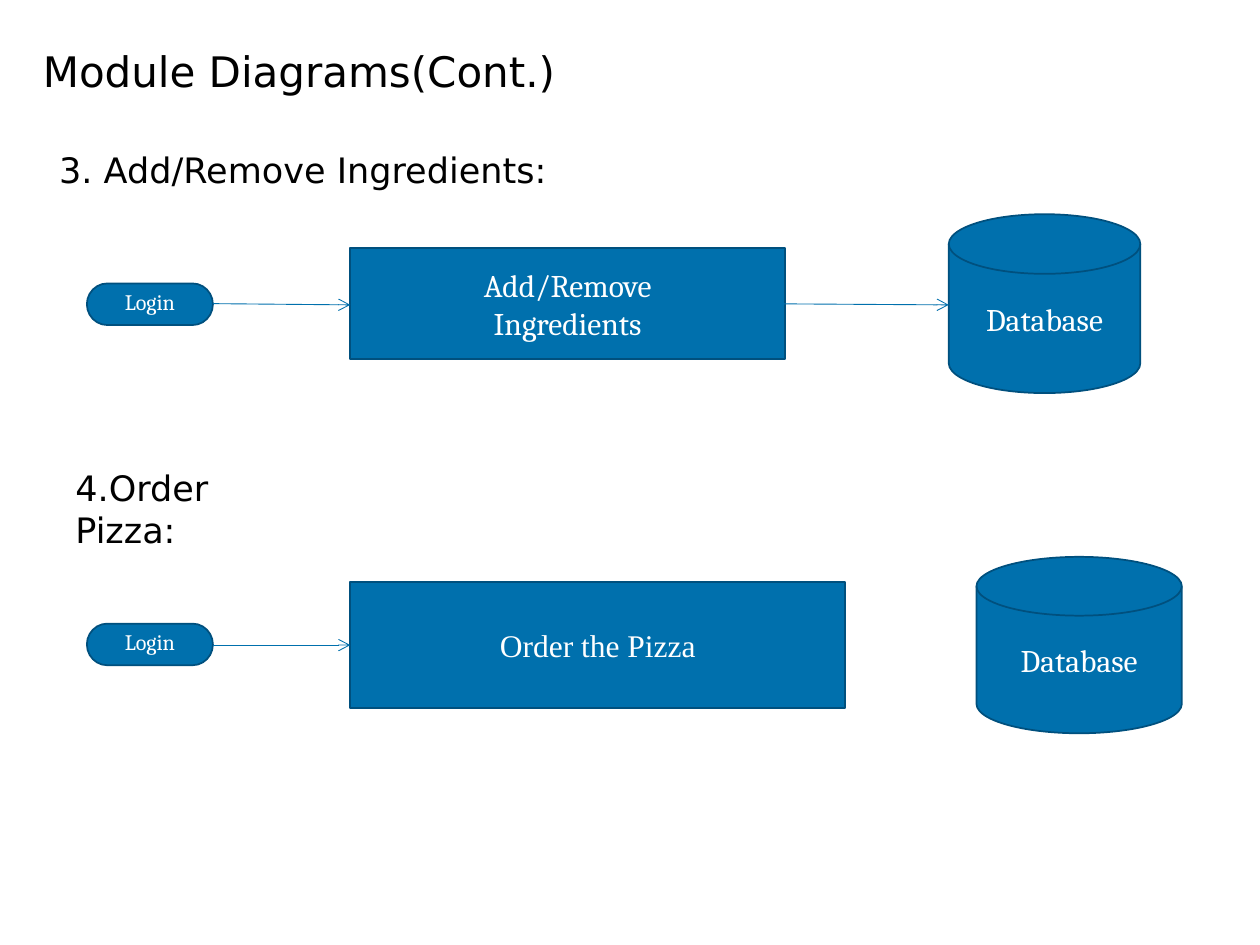
from dataclasses import dataclass

from lxml.etree import SubElement
from pptx import Presentation
from pptx.dml.color import RGBColor
from pptx.enum.shapes import MSO_CONNECTOR, MSO_SHAPE
from pptx.enum.text import MSO_ANCHOR, PP_ALIGN
from pptx.oxml.ns import qn
from pptx.slide import Slide
from pptx.util import Inches, Pt

BLUE = RGBColor(0x00, 0x70, 0xAD)
DARK_BLUE = RGBColor(0x00, 0x50, 0x7E)
BLACK = RGBColor(0, 0, 0)
WHITE = RGBColor(255, 255, 255)


@dataclass
class Label:
    text: str
    left: float
    top: float
    width: float
    height: float
    size: float = 20
    spacing: float | Pt = 1.0
    inset_x: float = 0
    inset_y: float = 0


@dataclass
class Node:
    shape: MSO_SHAPE
    text: str
    left: float
    top: float
    width: float
    height: float
    size: float = 18
    font: str = "Cambria"
    spacing: float = 1.0


@dataclass
class Arrow:
    x1: float
    y1: float
    x2: float
    y2: float


def login(top: float) -> Node:
    return Node(MSO_SHAPE.FLOWCHART_TERMINATOR, "Login", 0.69, top, 1, 0.33,
                size=12.6, spacing=0.8)


def database(left: float, top: float, width: float, height: float) -> Node:
    return Node(MSO_SHAPE.FLOWCHART_MAGNETIC_DISK, "Database",
                left, top, width, height)


LABELS = [
    Label("Module Diagrams(Cont.)", 0.34, 0.45, 9.33, 0.94, 24, Pt(22.5)),
    Label("3. Add/Remove Ingredients:", 0.47, 1.22, 9.33, 2.07, spacing=0.9),
    Label("4.Order Pizza:", 0.5, 3.65, 2.01, 0.44, inset_x=0.1, inset_y=0.05),
]
NODES = [
    # Add/remove ingredients module
    login(2.25),
    Node(MSO_SHAPE.RECTANGLE, "Add/Remove\nIngredients", 2.78, 1.97, 3.45, 0.88),
    database(7.53, 1.7, 1.52, 1.42),
    # Order pizza module
    login(4.95),
    Node(MSO_SHAPE.RECTANGLE, "Order the Pizza", 2.78, 4.62, 3.93, 1,
         font="Times New Roman"),
    database(7.75, 4.42, 1.63, 1.4),
]
ARROWS = [
    Arrow(1.69, 2.41, 2.78, 2.42),
    Arrow(5.94, 2.41, 7.53, 2.42),
    Arrow(1.69, 5.12, 2.78, 5.12),
]


def add_label(s: Slide, label: Label) -> None:
    tb = s.shapes.add_textbox(Inches(label.left), Inches(label.top),
                              Inches(label.width), Inches(label.height))
    tf = tb.text_frame
    tf.word_wrap = True
    tf.margin_left = tf.margin_right = Inches(label.inset_x)
    tf.margin_top = tf.margin_bottom = Inches(label.inset_y)
    p = tf.paragraphs[0]
    p.text = label.text
    p.line_spacing = label.spacing
    p.font.name = "DejaVu Sans"
    p.font.size = Pt(label.size)
    p.font.color.rgb = BLACK


def add_node(s: Slide, node: Node) -> None:
    sp = s.shapes.add_shape(node.shape, Inches(node.left), Inches(node.top),
                            Inches(node.width), Inches(node.height))
    sp.shadow.inherit = False
    sp.fill.solid()
    sp.fill.fore_color.rgb = BLUE
    sp.line.color.rgb = DARK_BLUE
    sp.line.width = Pt(1)
    tf = sp.text_frame
    tf.word_wrap = True
    tf.vertical_anchor = MSO_ANCHOR.MIDDLE
    tf.text = node.text
    for p in tf.paragraphs:
        p.alignment = PP_ALIGN.CENTER
        p.line_spacing = node.spacing
        p.font.name = node.font
        p.font.size = Pt(node.size)
        p.font.color.rgb = WHITE


def add_arrow(s: Slide, arrow: Arrow) -> None:
    line = s.shapes.add_connector(MSO_CONNECTOR.STRAIGHT,
                                  Inches(arrow.x1), Inches(arrow.y1),
                                  Inches(arrow.x2), Inches(arrow.y2))
    line.line.color.rgb = BLUE
    line.line.width = Pt(0.5)
    SubElement(line.line._get_or_add_ln(), qn("a:tailEnd"), type="arrow")
    SubElement(line._element.spPr, qn("a:effectLst"))


def main() -> None:
    prs = Presentation()
    prs.slide_width, prs.slide_height = Inches(10), Inches(7.5)
    s = prs.slides.add_slide(prs.slide_layouts[6])
    for label in LABELS:
        add_label(s, label)
    for node in NODES:
        add_node(s, node)
    for arrow in ARROWS:
        add_arrow(s, arrow)
    prs.save("out.pptx")


if __name__ == "__main__":
    main()
